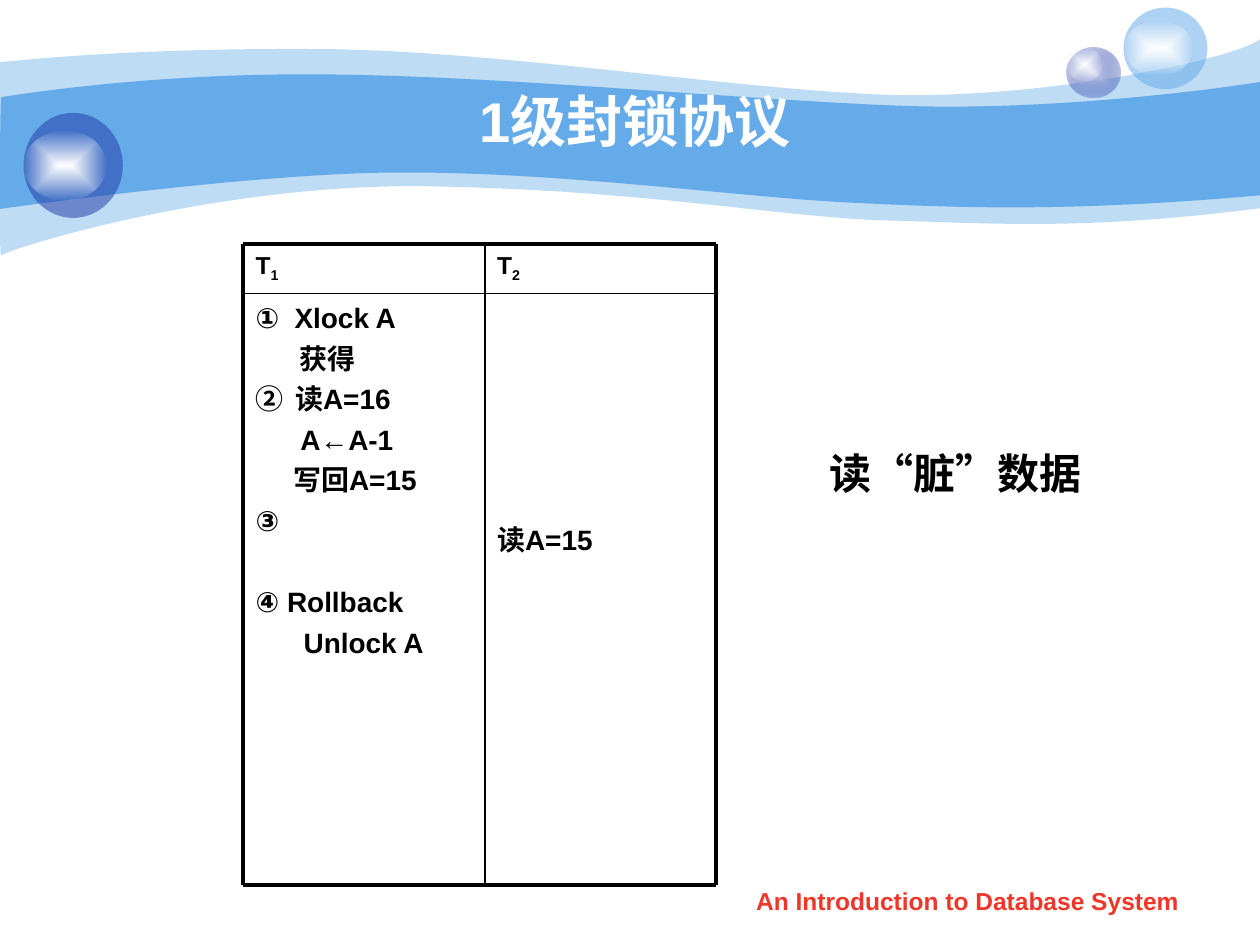
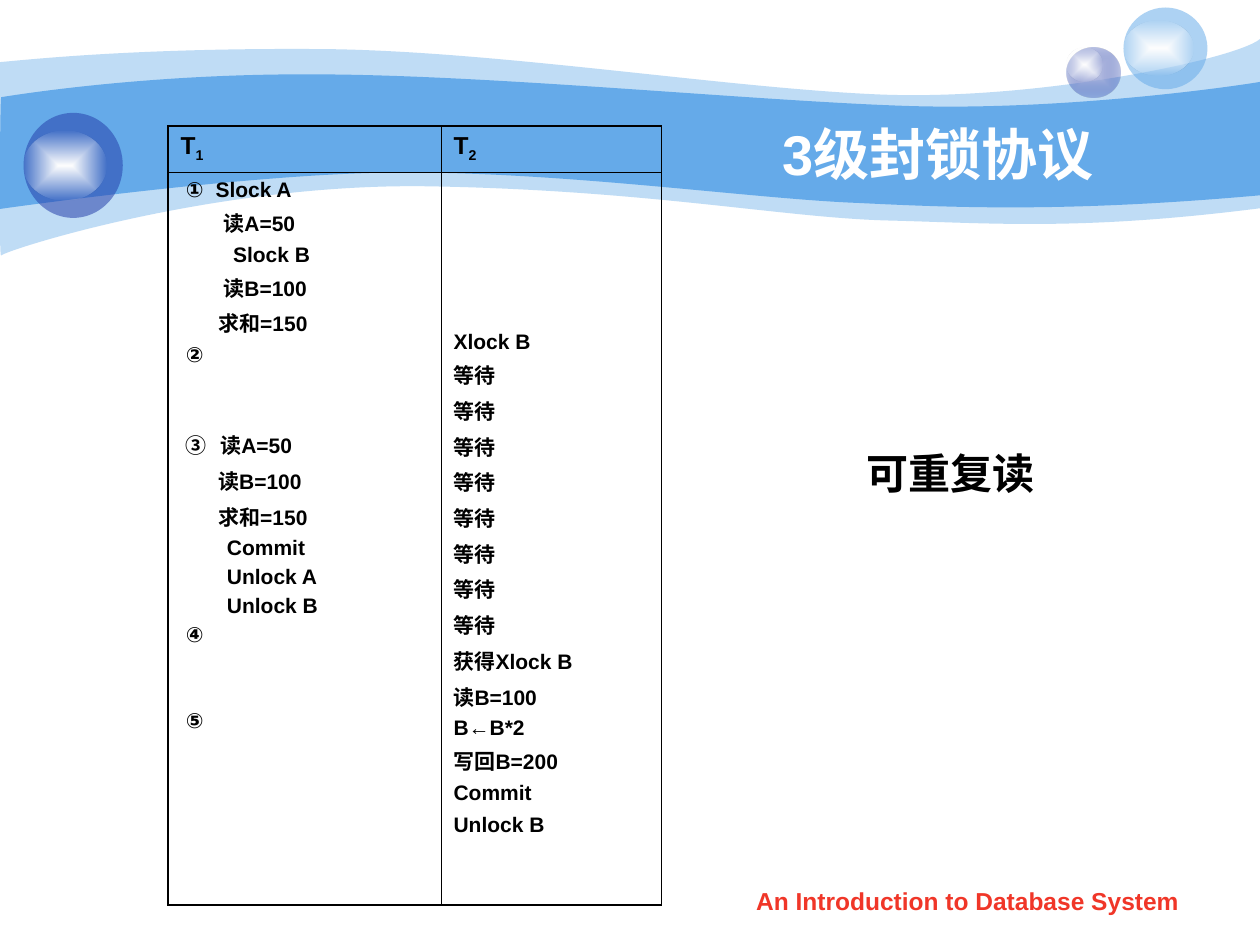
import typing

import pptx
import pptx.dml.color
import pptx.enum.shapes
import pptx.enum.text
import pptx.oxml
import pptx.oxml.ns
import pptx.util

Pt = pptx.util.Pt
RGBColor = pptx.dml.color.RGBColor
ALIGN = pptx.enum.text.PP_ALIGN
ANCHOR = pptx.enum.text.MSO_ANCHOR
qn = pptx.oxml.ns.qn
A_NS = pptx.oxml.ns.nsdecls("a")

SKY = RGBColor(0x65, 0xAA, 0xE9)
NAVY = RGBColor(0x23, 0x3D, 0xA9)
LAVENDER = RGBColor(0xC6, 0xCC, 0xE8)
WHITE = RGBColor(0xFF, 0xFF, 0xFF)
GLOW_EDGE = RGBColor(0xFE, 0xFE, 0xFE)
BLACK = RGBColor(0, 0, 0)
RED = RGBColor(0xF0, 0x36, 0x28)

SANS = "Arial"
SERIF = "Times New Roman"
FOOTER = "An Introduction to Database System"

# Each outline: a start point, then curves (three points) and straight edges (one point).
OUTER_WAVE = (
    (0, 35.5),
    [(17, 34), (77, 27.5), (178, 28)],
    [(278, 28), (414, 50.4), (503, 54)],
    [(592, 57.6), (706, 34), (720, 22.3)],
    [(720, 119)],
    [(618, 132), (567, 127.5), (507.6, 126)],
    [(448, 124.5), (371, 108.7), (247, 106.5)],
    [(124, 104), (3, 143), (0.7, 146)],
    [(-0.7, 150), (0, 54), (0, 35.5)],
)
INNER_WAVE = (
    (0.7, 55.5),
    [(1.5, 55.5), (79, 42), (178.5, 42.5)],
    [(278, 42.5), (428.5, 57.5), (517, 60.5)],
    [(605.5, 63.5), (703, 49.7), (720, 46.8)],
    [(720, 111.6)],
    [(614, 121), (551, 119), (491, 116)],
    [(431, 113.8), (322, 98), (228, 98.6)],
    [(146, 98.6), (-1.4, 119.5), (-0.7, 119.5)],
    [(0, 119.5), (0, 55.5), (0.7, 55.5)],
)


class Step(typing.NamedTuple):
    """One line of a schedule; spread widens the space after its number."""
    text: str
    indent: float = 0
    gap: float = 0
    number: str = ""
    spread: float = 0


def color_xml(color, opacity):
    return f'<a:srgbClr val="{color}"><a:alpha val="{opacity * 1000}"/></a:srgbClr>'


def finish_shape(shape, color, opacity):
    shape.shadow.inherit = False
    shape.line.fill.background()
    shape.fill.solid()
    shape.fill.fore_color.rgb = color
    if opacity < 100:
        solid = shape.element.spPr.find(qn("a:solidFill"))
        solid[0].append(pptx.oxml.parse_xml(f'<a:alpha {A_NS} val="{opacity * 1000}"/>'))


def add_wave(slide, outline, opacity=100):
    start, *segments = outline
    builder = slide.shapes.build_freeform(Pt(start[0]), Pt(start[1]))
    builder.add_line_segments(
        [(Pt(x), Pt(y)) for segment in segments for x, y in segment], close=True)
    wave = builder.convert_to_shape()
    edges = iter(list(wave.element.iter(qn("a:lnTo"))))
    for segment in segments:
        group = [next(edges) for _ in segment]
        if len(group) == 3:
            curve = pptx.oxml.parse_xml(f"<a:cubicBezTo {A_NS}/>")
            group[0].addprevious(curve)
            for edge in group:
                curve.append(edge[0])
                edge.getparent().remove(edge)
    finish_shape(wave, SKY, opacity)


def add_ball(slide, box, color, opacity):
    ball = slide.shapes.add_shape(
        pptx.enum.shapes.MSO_SHAPE.OVAL, *[Pt(length) for length in box])
    finish_shape(ball, color, opacity)
    return ball


def add_glow(slide, box, center=WHITE, edge=GLOW_EDGE, edge_opacity=0):
    """An ellipse that fades from its centre to its edge."""
    ball = add_ball(slide, box, center, 100)
    solid = ball.element.spPr.find(qn("a:solidFill"))
    gradient = pptx.oxml.parse_xml(
        f'<a:gradFill {A_NS} rotWithShape="1"><a:gsLst>'
        f'<a:gs pos="0">{color_xml(center, 100)}</a:gs>'
        f'<a:gs pos="100000">{color_xml(edge, edge_opacity)}</a:gs></a:gsLst>'
        '<a:path path="rect"><a:fillToRect l="50000" t="50000" r="50000" b="50000"/></a:path>'
        "</a:gradFill>")
    ball.element.spPr.replace(solid, gradient)


def add_run(paragraph, text, size, color=BLACK, font=SANS):
    run = paragraph.add_run()
    run.text = text
    run.font.size = Pt(size)
    run.font.name = font
    run.font.bold = True
    run.font.color.rgb = color
    return run.font._element


def add_frame(slide, box, anchor=ANCHOR.TOP):
    frame = slide.shapes.add_textbox(*[Pt(length) for length in box]).text_frame
    frame.word_wrap = True
    frame.vertical_anchor = anchor
    return frame


def add_label(slide, text, box, size, color, font=SANS, align=ALIGN.CENTER,
              anchor=ANCHOR.MIDDLE):
    frame = add_frame(slide, box, anchor)
    frame.paragraphs[0].alignment = align
    add_run(frame.paragraphs[0], text, size, color, font)
    return frame


def add_rule(slide, x1, y1, x2, y2, width):
    rule = slide.shapes.add_connector(
        pptx.enum.shapes.MSO_CONNECTOR.STRAIGHT, Pt(x1), Pt(y1), Pt(x2), Pt(y2))
    rule.line.color.rgb = BLACK
    rule.line.width = Pt(width)
    rule.element.spPr.append(pptx.oxml.parse_xml(f"<a:effectLst {A_NS}/>"))


def add_backdrop(slide):
    add_wave(slide, OUTER_WAVE, 41)
    add_wave(slide, INNER_WAVE)
    add_glow(slide, (609.5, 27, 30.5, 29), LAVENDER, NAVY, 31)
    add_glow(slide, (609.5, 27, 20.5, 19.5))
    add_ball(slide, (642, 4.3, 48, 46.7), SKY, 53)
    add_glow(slide, (642, 12, 40, 31))
    add_ball(slide, (13.5, 64.5, 56.7, 60), NAVY, 53)
    add_glow(slide, (13.5, 74.5, 47.5, 40))


def add_protocol_slide(deck, title, title_box, title_align):
    slide = deck.slides.add_slide(deck.slide_layouts[6])
    add_backdrop(slide)
    add_label(slide, title, title_box, 32, WHITE, align=title_align)
    return slide


def add_finding_and_footer(slide, finding):
    add_label(slide, finding, (444, 246, 204, 48), 24, BLACK, SERIF).word_wrap = False
    add_label(slide, FOOTER, (411, 502.5, 284, 25), 14, RED, anchor=ANCHOR.TOP)


def write_transaction_name(frame, number):
    name = frame.paragraphs[0]
    add_run(name, "T", 14)
    add_run(name, str(number), 14).set("baseline", "-25000")


def write_steps(frame, steps, size, space=0, pitch=None):
    for index, step in enumerate(steps):
        paragraph = frame.add_paragraph() if index else frame.paragraphs[0]
        paragraph._p.get_or_add_pPr().set("marL", str(Pt(step.indent)))
        if index:
            paragraph.space_before = Pt(space + step.gap)
        if pitch:
            paragraph.line_spacing = Pt(pitch)
        if step.number:
            add_run(paragraph, step.number, size)
            add_run(paragraph, " ", size).set("spc", str(round(step.spread * 100)))
        add_run(paragraph, step.text, size)


def add_ruled_schedule(slide, columns, tops, size, pitch):
    """Two transactions side by side, framed by rules."""
    lefts, rows = (139, 277, 409), (139.7, 167.8, 505.7)
    for col, steps in enumerate(columns):
        left, width = lefts[col], lefts[col + 1] - lefts[col]
        body = add_frame(slide, (left, rows[1], width, rows[2] - rows[1]))
        body.margin_top = Pt(tops[col])
        write_steps(body, steps, size, pitch=pitch)
        head = add_frame(slide, (left, rows[0], width, rows[1] - rows[0]))
        head.margin_top = Pt(3)
        write_transaction_name(head, col + 1)
    for y, x, width in zip(rows, lefts, (2.25, 1, 2.25)):
        add_rule(slide, lefts[0], y, lefts[-1], y, width)
        add_rule(slide, x, rows[0], x, rows[-1], width)


def set_borders(cell, widths):
    """Draw the borders; widths are in the order left, right, top, bottom."""
    properties = cell._tc.get_or_add_tcPr()
    for index, (side, width) in enumerate(zip("LRTB", widths)):
        properties.insert(index, pptx.oxml.parse_xml(
            f'<a:ln{side} {A_NS} w="{Pt(width)}">'
            f"<a:solidFill>{color_xml(BLACK, 100)}</a:solidFill></a:ln{side}>"))


def add_table_schedule(slide, columns, tops, size, space):
    """Two transactions side by side; tops are the margins above the first steps."""
    widths, heights, outer, inner = (156, 126), (26.5, 418.5), 1.08, 0.45
    table = slide.shapes.add_table(
        2, 2, Pt(96), Pt(72), Pt(sum(widths)), Pt(sum(heights))).table
    table.first_row = table.horz_banding = False
    for index in range(2):
        table.columns[index].width = Pt(widths[index])
        table.rows[index].height = Pt(heights[index])
    for col, steps in enumerate(columns):
        head, body = table.cell(0, col), table.cell(1, col)
        write_transaction_name(head.text_frame, col + 1)
        body.margin_top = Pt(tops[col])
        write_steps(body.text_frame, steps, size, space)
        sides = (inner, outer) if col else (outer, inner)
        for cell, ends in ((head, (outer, inner)), (body, (inner, outer))):
            cell.fill.background()
            set_borders(cell, sides + ends)


def add_level_one(deck):
    slide = add_protocol_slide(deck, "1级封锁协议", (72, 54, 582, 29.5), ALIGN.CENTER)
    pitch = 23.2
    first = [
        Step("Xlock A", number="①", spread=4.3),
        Step("获得", 25),
        Step("读A=16", number="②", spread=3),
        Step("A←A-1", 25.5),
        Step("写回A=15", 21.5),
        Step("③"),
        Step("Rollback", gap=pitch, number="④"),
        Step("Unlock A", 27.5),
    ]
    add_ruled_schedule(slide, (first, [Step("读A=15")]), (0, 126.8), 16, pitch)
    add_finding_and_footer(slide, "读“脏”数据")


def add_level_three(deck):
    slide = add_protocol_slide(deck, "3级封锁协议", (218, 71, 414, 32.5), ALIGN.RIGHT)
    pause = 32.8
    first = [
        Step("Slock A", 3, number="①", spread=3.4),
        Step("读A=50", 24.5),
        Step("Slock B", 30),
        Step("读B=100", 24.5),
        Step("求和=150", 21.5),
        Step("②", 3),
        Step("读A=50", 3, pause, "③", 5),
        Step("读B=100", 21.5),
        Step("求和=150", 21.5),
        Step("Commit", 26.5),
        Step("Unlock A", 26.5),
        Step("Unlock B", 26.5),
        Step("④", 3),
        Step("⑤", 3, pause),
    ]
    waiting = ["等待"] * 8
    second = [Step(text) for text in (
        "Xlock B", *waiting, "获得Xlock B", "读B=100", "B←B*2", "写回B=200", "Commit")]
    second.append(Step("Unlock B", gap=2))
    add_table_schedule(slide, (first, second), (3.6, 90.4), 12, 3)
    add_finding_and_footer(slide, "可重复读 ")


def main():
    deck = pptx.Presentation()
    deck.slide_width, deck.slide_height = Pt(720), Pt(540)
    add_level_one(deck)
    add_level_three(deck)
    deck.save("out.pptx")


if __name__ == "__main__":
    main()
